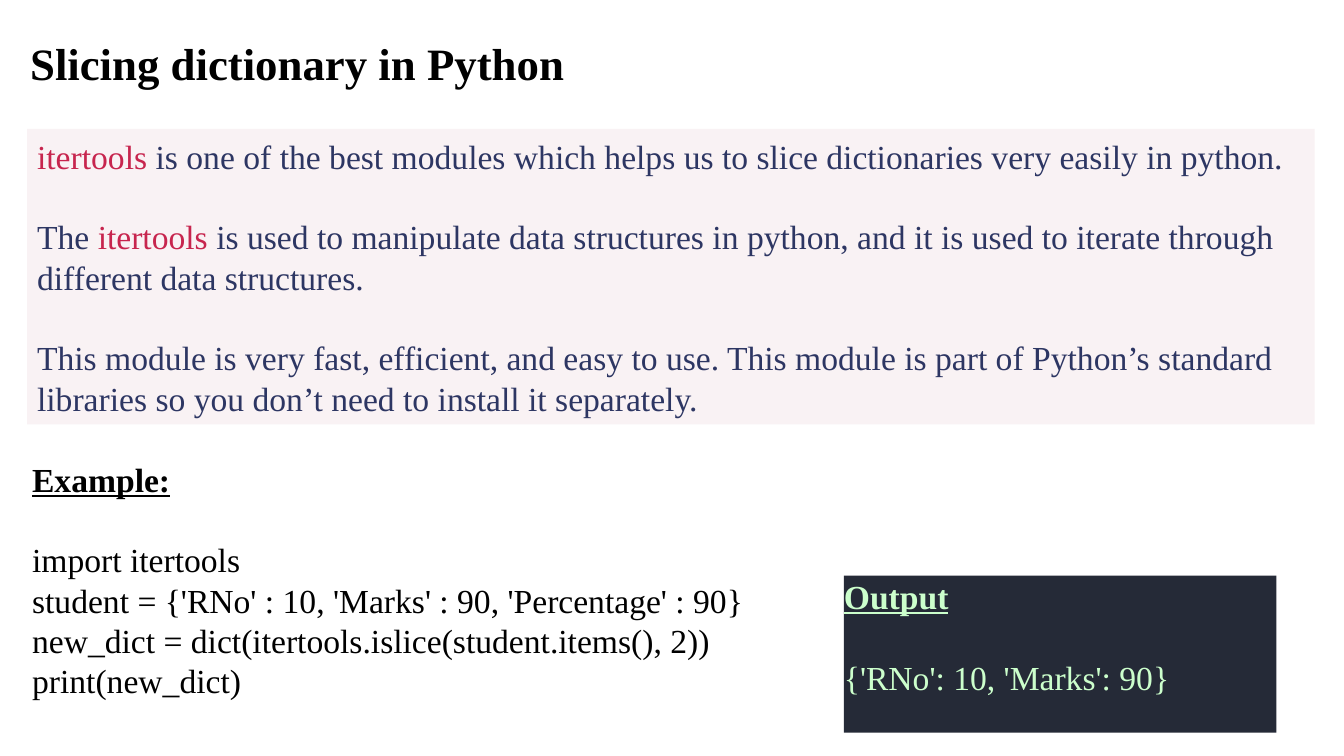
from pptx import Presentation
from pptx.dml.color import RGBColor
from pptx.enum.shapes import MSO_SHAPE
from pptx.enum.text import MSO_ANCHOR, PP_ALIGN
from pptx.util import Inches, Pt

NAVY = {"color": "2D3663"}
CRIMSON = {"color": "C7254E"}
BLACK = {"color": "000000"}
MINT = {"color": "CCFFCC"}
HEADING = {"bold": True, "underline": True}
GAP = Pt(28.8)


def rgb(value):
    return RGBColor.from_string(value)


def add_run(p, text, color, **formats):
    r = p.add_run()
    r.text = text
    r.font.color.rgb = rgb(color)
    for name, value in {"name": "Times New Roman", "size": Pt(24), **formats}.items():
        setattr(r.font, name, value)


def fill_text(tf, paragraphs):
    for i, (gap, runs) in enumerate(paragraphs):
        p = tf.paragraphs[0] if i == 0 else tf.add_paragraph()
        p.alignment = PP_ALIGN.LEFT
        p.space_before = gap
        for text, formats in runs:
            add_run(p, text, **formats)


def add_text(s, box, paragraphs, wrap=True):
    sp = s.shapes.add_textbox(*map(Inches, box))
    sp.text_frame.word_wrap = wrap
    fill_text(sp.text_frame, paragraphs)


def add_panel(s, box, fill, paragraphs, **margins):
    sp = s.shapes.add_shape(MSO_SHAPE.RECTANGLE, *map(Inches, box))
    sp.shadow.inherit = False
    sp.fill.solid()
    sp.fill.fore_color.rgb = rgb(fill)
    sp.line.fill.background()
    tf = sp.text_frame
    formats = {"word_wrap": True, "vertical_anchor": MSO_ANCHOR.MIDDLE, **margins}
    for name, value in formats.items():
        setattr(tf, name, value)
    fill_text(tf, paragraphs)


def main():
    prs = Presentation()
    prs.slide_width, prs.slide_height = Inches(13.33), Inches(7.5)
    s = prs.slides.add_slide(prs.slide_layouts[6])

    title = ("Slicing dictionary in Python", {**BLACK, "size": Pt(32), "bold": True})
    add_text(s, (0.2, 0.31, 5.55, 0.64), [(0, [title])], wrap=False)

    add_panel(s, (0.27, 1.28, 12.77, 2.93), "F9F2F4", [
        (0, [("itertools", CRIMSON),
             (" is one of the best modules which helps us to slice dictionaries "
              "very easily in python.", NAVY)]),
        (GAP, [("The ", NAVY), ("itertools", CRIMSON),
               (" is used to manipulate data structures in python, and it is used "
                "to iterate through different data structures.", NAVY)]),
        (GAP, [("This module is very fast, efficient, and easy to use. This module is "
                "part of Python’s standard libraries so you don’t need to install it "
                "separately.", NAVY)]),
    ])

    code = [
        "import itertools",
        "student = {'RNo' : 10, 'Marks' : 90, 'Percentage' : 90}",
        "new_dict = dict(itertools.islice(student.items(), 2))",
        "print(new_dict)",
    ]
    example = [(0, [("Example:", {**BLACK, **HEADING})])]
    example += [(0 if i else GAP, [(line, BLACK)]) for i, line in enumerate(code)]
    add_text(s, (0.22, 4.5, 9.97, 2.52), example)

    add_panel(s, (8.37, 5.71, 4.29, 1.56), "252A37", [
        (0, [("Output", {**MINT, **HEADING})]),
        (GAP, [("{'RNo': 10, 'Marks': 90}", MINT)]),
    ], margin_left=0, margin_top=0, margin_right=0, margin_bottom=Inches(0.35))

    prs.save("out.pptx")


if __name__ == "__main__":
    main()
